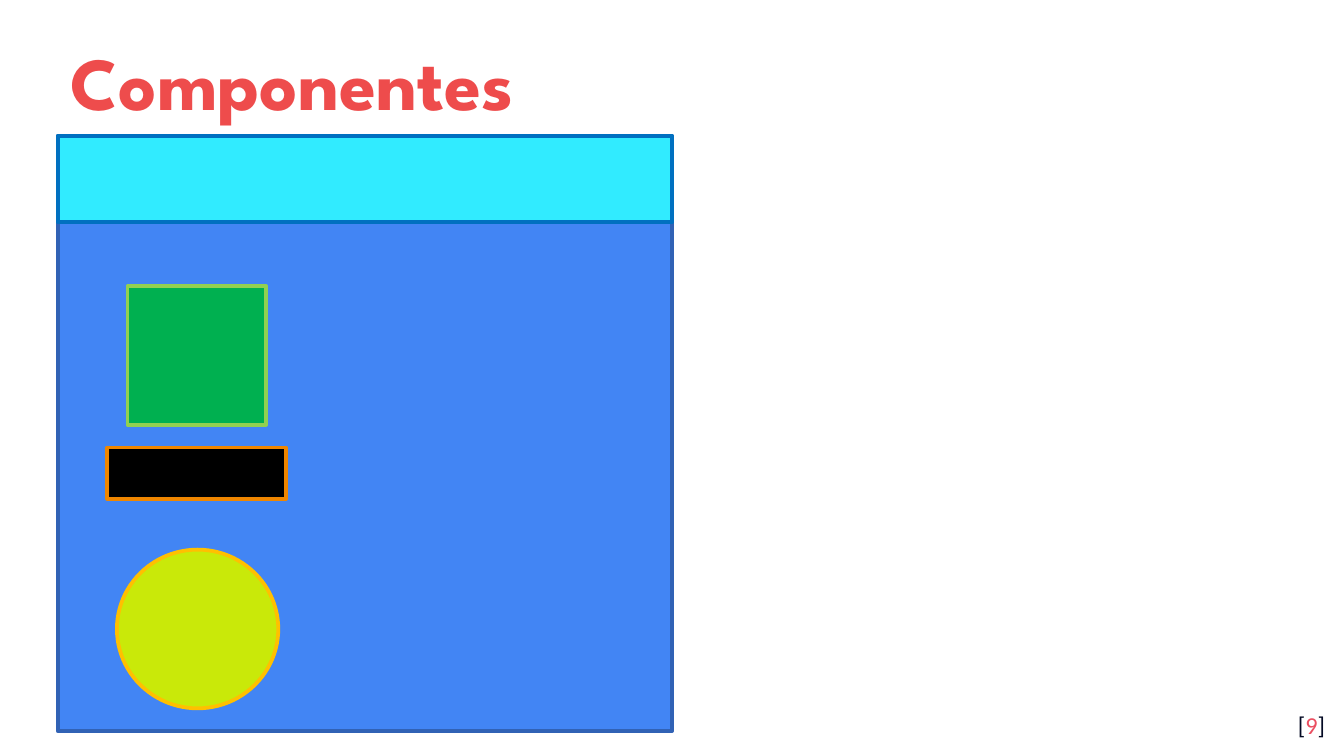
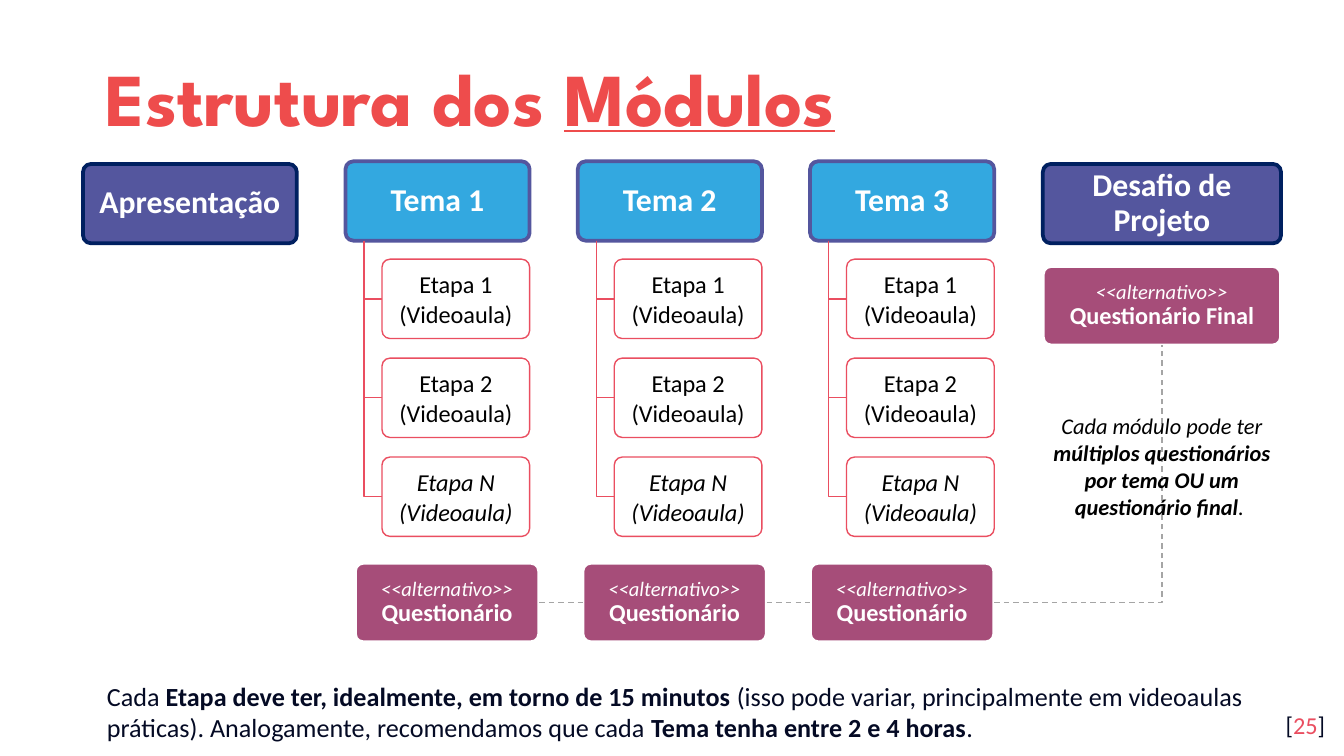
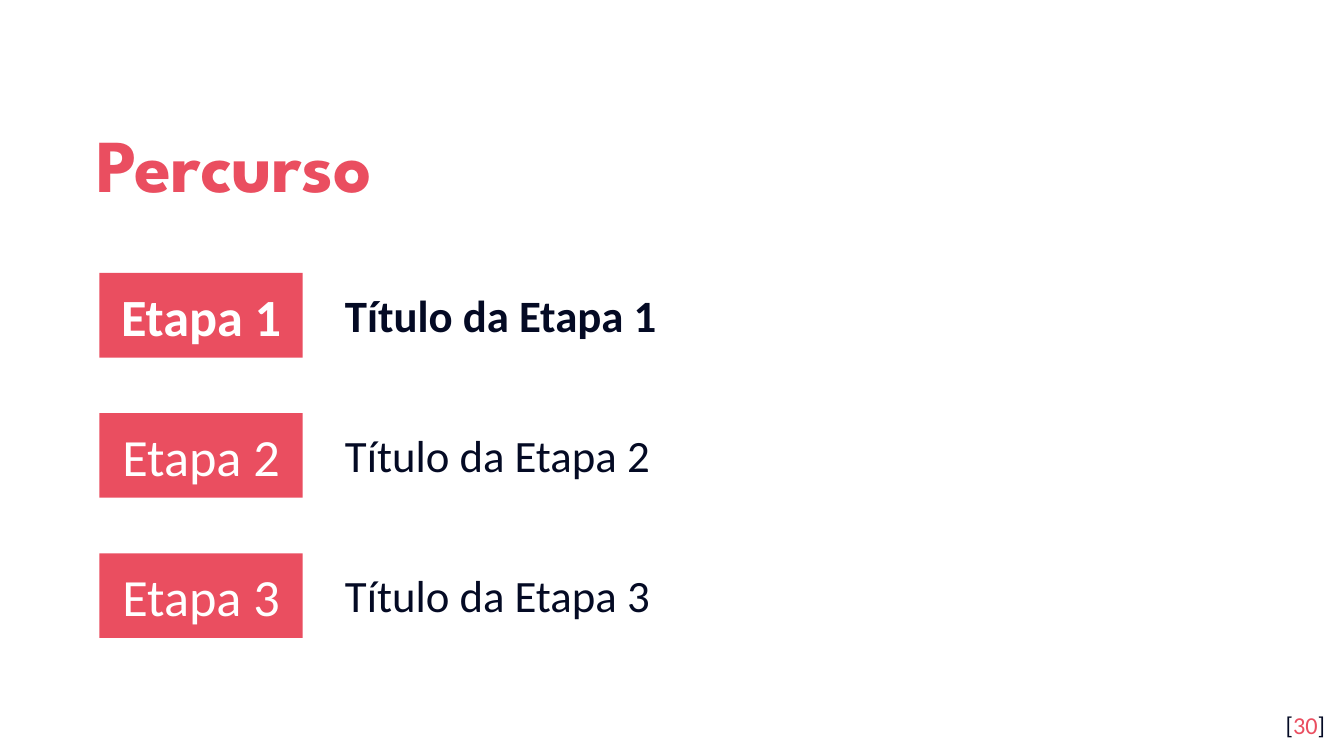
import copy

import lxml.etree
import pptx
import pptx.dml.color
import pptx.enum.dml
import pptx.enum.shapes
import pptx.enum.text
import pptx.oxml.ns
import pptx.util

Cm = pptx.util.Cm
Pt = pptx.util.Pt
qn = pptx.oxml.ns.qn
Kind = pptx.enum.shapes.MSO_SHAPE
Link = pptx.enum.shapes.MSO_CONNECTOR
Align = pptx.enum.text.PP_ALIGN
Anchor = pptx.enum.text.MSO_ANCHOR


class Theme:
    head_font, body_font = "League Spartan", "Calibri"
    red, rose, ink = "EE4C4C", "EA4E60", "040A24"
    white, black, grey = "FFFFFF", "000000", "A5A5A5"
    sky, violet, navy, plum = "33A8E0", "54569E", "002060", "A64D79"
    title, tile, label, theme = 40, 28, 24, 17
    note, step, aside, tag = 14, 13, 12, 11
    thin, thick = 0.75, 2
    round = 0.1


def box(page, kind, place, fill=None, edge=None, width=Theme.thick):
    """Add a shape at (left, top, width, height) in cm; kind None gives a text box."""
    place = [Cm(n) for n in place]
    if kind is None:
        return page.shapes.add_textbox(*place)
    shape = page.shapes.add_shape(kind, *place)
    shape.shadow.inherit = False
    if kind == Kind.ROUNDED_RECTANGLE:
        shape.adjustments[0] = Theme.round
    shape.fill.solid()
    shape.fill.fore_color.rgb = pptx.dml.color.RGBColor.from_string(fill)
    if edge:
        shape.line.color.rgb = pptx.dml.color.RGBColor.from_string(edge)
        shape.line.width = Pt(width)
    else:
        shape.line.fill.background()
    return shape


def write(shape, *paras, align=Align.LEFT, anchor=Anchor.MIDDLE, pad=0.25,
          space=None, before=0, after=0, left=0, hang=0, **base):
    """Fill a shape; a paragraph is a string or a list of (text, format) runs.

    Run formats: size, color, font, bold, ital, under. A run ending in a newline breaks the line.
    """
    frame = shape.text_frame
    frame.word_wrap = True
    frame.vertical_anchor = anchor
    frame.margin_left = frame.margin_right = Cm(0.25)
    frame.margin_top = frame.margin_bottom = Cm(pad)
    for n, runs in enumerate(paras):
        para = frame.add_paragraph() if n else frame.paragraphs[0]
        para.alignment = align
        para.line_spacing = space
        para.space_before = Pt(0 if n else before)
        para.space_after = Pt(after)
        if left:
            props = para._p.get_or_add_pPr()
            props.set("marL", str(Cm(left)))
            props.set("indent", str(Cm(hang)))
        for text, extra in [(runs, {})] if isinstance(runs, str) else runs:
            style = {**base, **extra}
            run = para.add_run()
            run.text = text.rstrip("\n")
            font = run.font
            font.name = style.get("font", Theme.body_font)
            font.size = Pt(style["size"])
            font.color.rgb = pptx.dml.color.RGBColor.from_string(style["color"])
            font.bold = style.get("bold", False)
            font.italic = style.get("ital", False)
            font.underline = style.get("under", False)
            if text.endswith("\n"):
                para.add_line_break()
                para._p[-1].append(copy.deepcopy(run._r.rPr))


deck = pptx.Presentation()
deck.slide_width, deck.slide_height = Cm(25.4), Cm(14.29)

# Title and page number on every slide
heads = [
    ("Componentes", 1.09, 0.23, Theme.red, "9"),
    ([("Estrutura dos ", {}), ("Módulos", {"under": True})], 1.75, 0.53, Theme.red, "25"),
    ("Percurso", 1.57, 1.78, Theme.rose, "30"),
]
pages = []
for title, x, y, color, number in heads:
    page = deck.slides.add_slide(deck.slide_layouts[6])
    pages.append(page)
    write(box(page, None, (x, y, 20.57, 2.34)), title, space=1.15,
          size=Theme.title, color=color, font=Theme.head_font, bold=True)
    write(box(page, None, (23.77, 13.18, 1.52, 1.09)),
          [("[", {}), (number, {"color": Theme.rose}), ("]", {})],
          align=Align.RIGHT, anchor=Anchor.TOP, size=Theme.step, color=Theme.ink)
parts, model, route = pages

# Componentes: a window and the parts inside it
for kind, place, fill, edge in [
    (Kind.RECTANGLE, (1.09, 2.57, 11.61, 11.25), "4285F4", "3162B5"),
    (Kind.RECTANGLE, (2.41, 5.41, 2.62, 2.62), "00B050", "92D050"),
    (Kind.RECTANGLE, (1.09, 2.57, 11.61, 1.63), "31EBFF", "0070C0"),
    (Kind.RECTANGLE, (2.03, 8.46, 3.38, 0.97), Theme.black, "EF8600"),
    (Kind.OVAL, (2.21, 10.39, 3.05, 3), "C9E909", "FFC000"),
]:
    box(parts, kind, place, fill, edge)

# Estrutura dos Módulos: first and last blocks
high = 1.5
bold = {"bold": True}
for text, x, wide in [("Apresentação", 1.57, 4.04), ("Desafio de Projeto", 19.71, 4.5)]:
    block = box(model, Kind.ROUNDED_RECTANGLE, (x, 3.1, wide, high), Theme.violet, Theme.navy)
    write(block, text, align=Align.CENTER, space=0.9,
          size=Theme.theme, color=Theme.white, bold=True)

# Three themes, each with a tree of steps
top, wide = 3.05, 3.48
for col in range(3):
    x = 6.53 + 4.39 * col
    theme = box(model, Kind.ROUNDED_RECTANGLE, (x, top, wide, high), Theme.sky, Theme.violet)
    write(theme, f"Tema {col + 1}", align=Align.CENTER, space=0.9,
          size=Theme.theme, color=Theme.white, bold=True)
    trunk, leaf = x + 0.35, x + 0.69
    for row, mark in enumerate("12N"):
        y = 4.9 + 1.87 * row
        mid = y + high / 2
        path = model.shapes.build_freeform(Cm(trunk), Cm(top + high))
        path.add_line_segments([(Cm(trunk), Cm(mid)), (Cm(leaf), Cm(mid))], close=False)
        branch = path.convert_to_shape()
        branch.shadow.inherit = False
        branch.fill.background()
        branch.line.color.rgb = pptx.dml.color.RGBColor.from_string(Theme.rose)
        branch.line.width = Pt(Theme.thin)
        step = box(model, Kind.ROUNDED_RECTANGLE, (leaf, y, 2.79, high),
                   Theme.white, Theme.rose, Theme.thin)
        tint = step.element.spPr.find(qn("a:solidFill"))[0]
        lxml.etree.SubElement(tint, qn("a:alpha")).set("val", "89000")
        write(step, f"Etapa {mark}", "(Videoaula)", align=Align.CENTER, before=5.2,
              size=Theme.step, color=Theme.black, ital=mark == "N")

# Quizzes, joined by a dashed line
spots = [("Questionário", 6.71 + 4.3 * n, 10.64, wide) for n in range(3)]
spots.append(("Questionário Final", 19.71, 5.03, 4.5))
quizzes = []
for text, x, y, span in spots:
    quiz = box(model, Kind.ROUNDED_RECTANGLE, (x, y, span, high), Theme.plum, Theme.white)
    write(quiz, [("<<alternativo>>\n", {"size": Theme.tag, "ital": True}), (text, bold)],
          align=Align.CENTER, anchor=Anchor.TOP, space=0.9, after=10,
          size=Theme.step, color=Theme.white)
    quizzes.append(quiz)
final = quizzes[-1]
for one, two in zip(quizzes, quizzes[1:]):
    bent = two is final
    link = model.shapes.add_connector(
        Link.ELBOW if bent else Link.STRAIGHT,
        one.left + one.width, one.top + one.height // 2,
        two.left + two.width // 2 if bent else two.left,
        two.top + two.height if bent else two.top + two.height // 2)
    link.begin_connect(one, 3)
    link.end_connect(two, 2 if bent else 1)
    if bent:
        link.element.spPr.find(qn("a:prstGeom")).set("prst", "bentConnector2")
    link.line.color.rgb = pptx.dml.color.RGBColor.from_string(Theme.grey)
    link.line.width = Pt(Theme.thin)
    link.line.dash_style = pptx.enum.dml.MSO_LINE.DASH
    lxml.etree.SubElement(link.element.spPr, qn("a:effectLst"))

write(box(model, None, (19.38, 7.54, 5.16, 2.57)),
      [("Cada módulo pode ter ", {}),
       ("múltiplos questionários por tema OU um questionário final", bold),
       (". ", {})],
      align=Align.CENTER, anchor=Anchor.TOP, size=Theme.aside, color=Theme.black, ital=True)
write(box(model, None, (1.57, 12.62, 22.66, 1.65)),
      [("Cada ", {}),
       ("Etapa deve ter, idealmente, em torno de 15 minutos", bold),
       (" (isso pode variar, principalmente em videoaulas práticas). "
        "Analogamente, recomendamos que cada ", {}),
       ("Tema tenha entre 2 e 4 horas", bold),
       (".", {})],
      left=0.2, size=Theme.note, color=Theme.ink)

# Percurso: one row a step, the current one in bold
for row in range(3):
    name, now, drop = f"Etapa {row + 1}", row == 0, 2.65 * row
    write(box(route, Kind.RECTANGLE, (1.88, 5.16 + drop, 3.84, 1.6), Theme.rose), name,
          align=Align.CENTER, size=Theme.tile, color=Theme.white, bold=now)
    write(box(route, None, (6.27, 5.31 + drop, 17.15, 1.27)), f"Título da {name}",
          anchor=Anchor.TOP, pad=0.13, left=1.27, hang=-1.27,
          size=Theme.label, color=Theme.ink, bold=now)

deck.save("out.pptx")
